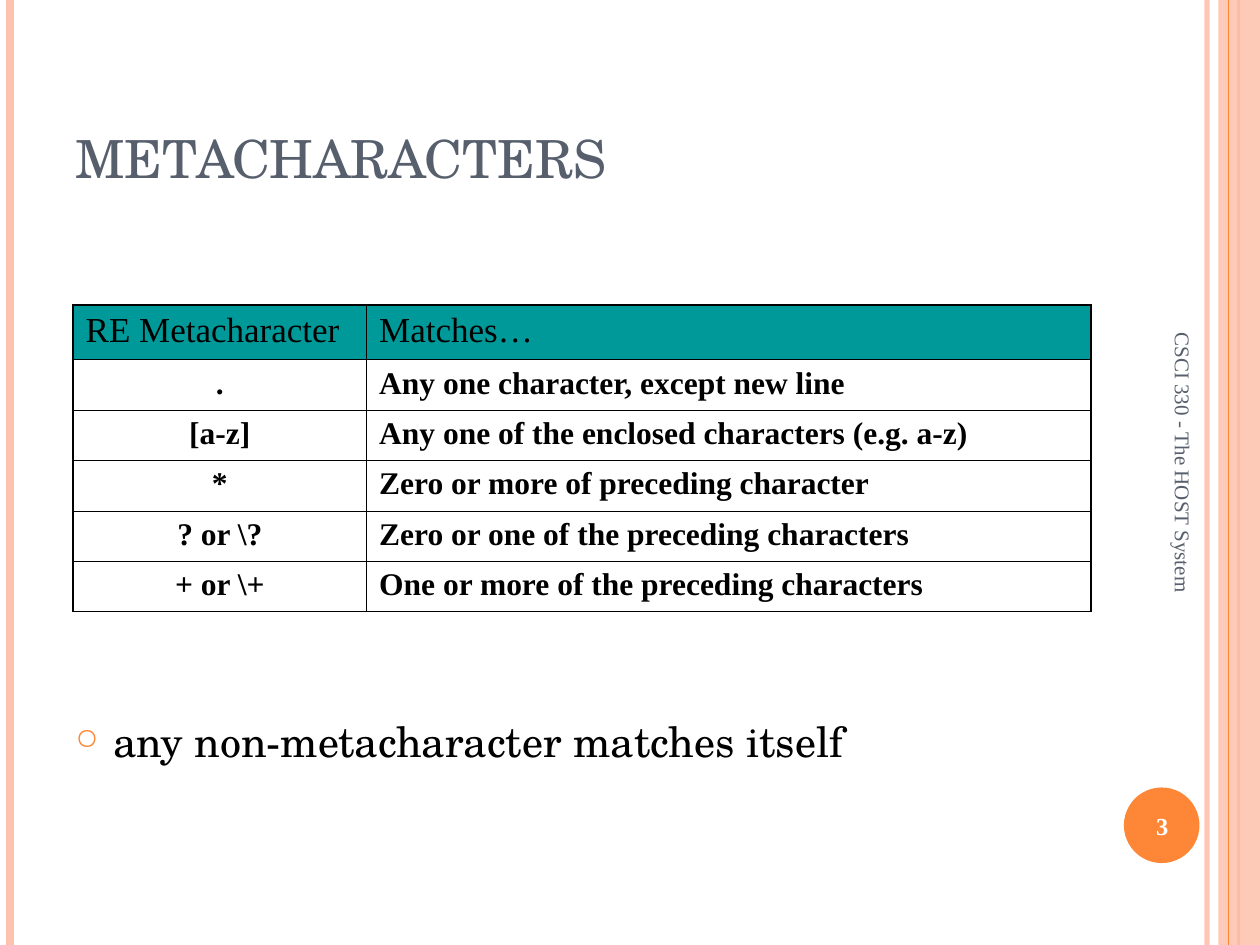
from pptx import Presentation
from pptx.util import Inches, Pt
from pptx.dml.color import RGBColor as RGB
from pptx.enum.shapes import MSO_SHAPE as Shape, MSO_CONNECTOR as Link
from pptx.enum.text import PP_ALIGN as Align, MSO_ANCHOR as Anchor
from pptx.oxml.ns import qn
from lxml.etree import SubElement as Sub

# Content
TITLE = "METACHARACTERS"
HEAD = ("RE Metacharacter", "Matches…")
ROWS = [
    (".", "Any one character, except new line"),
    ("[a-z]", "Any one of the enclosed characters (e.g. a-z)"),
    ("*", "Zero or more of preceding character"),
    ("? or \\?", "Zero or one of the preceding characters"),
    ("+ or \\+", "One or more of the preceding characters"),
]
NOTE = "any non-metacharacter matches itself"
FOOT = "CSCI 330 - The HOST System"
PAGE = "3"


class Theme:
    serif, times = "TeX Gyre Schola", "Times New Roman"
    ink, slate, white = "000000", "575F6D", "FFFFFF"
    peach, orange, teal = "FEC3AE", "FE8637", "009999"
    title, note, head, body, page, foot = 30, 24, 20, 18, 14, 12
    thin, thick = 0.45, 1.08


WIDE, HIGH = 10, 7.5
COLS = (2.33, 5.75)
TALL = [0.43] + [0.4] * len(ROWS)

# Stripes: x, colour, width in points, opacity in percent
BACK = [(9.58, Theme.peach, 3, 93), (0.08, Theme.peach, 4.5, 100),
        (9.83, Theme.orange, 1.5, 100)]
FRONT = [(9.75, Theme.orange, 0.75, 100)]


def fade(node, pct):
    tint = next(node.iter(qn("a:srgbClr")))
    Sub(tint, qn("a:alpha"), val=str(pct * 1000))


def stripe(slide, x, color, width, pct):
    bar = slide.shapes.add_connector(
        Link.STRAIGHT, Inches(x), 0, Inches(x), Inches(HIGH))
    bar.line.color.rgb = RGB.from_string(color)
    bar.line.width = Pt(width)
    props = bar._element.spPr
    if pct < 100:
        fade(props, pct)
    Sub(props, qn("a:effectLst"))


def solid(slide, kind, box, color):
    part = slide.shapes.add_shape(kind, *map(Inches, box))
    part.shadow.inherit = False
    part.fill.solid()
    part.fill.fore_color.rgb = RGB.from_string(color)
    part.line.fill.background()
    return part


def write(frame, text, size, font=Theme.times, color=Theme.ink, bold=False,
          align=Align.LEFT, before=0):
    para = frame.paragraphs[0]
    para.alignment = align
    para.space_before = Pt(before)
    run = para.add_run()
    run.text = text
    run.font.size, run.font.name, run.font.bold = Pt(size), font, bold
    run.font.color.rgb = RGB.from_string(color)
    return para


def frame(slide, box, anchor, turn=0):
    part = slide.shapes.add_textbox(*map(Inches, box))
    part.rotation = turn
    part.text_frame.word_wrap = True
    part.text_frame.vertical_anchor = anchor
    return part.text_frame


def bullet(para, mark, color, pct, inset):
    props = para._p.get_or_add_pPr()
    props.set("marL", str(Inches(inset)))
    props.set("indent", str(-Inches(inset)))
    Sub(Sub(props, qn("a:buClr")), qn("a:srgbClr"), val=color)
    Sub(props, qn("a:buSzPct"), val=str(pct * 1000))
    Sub(props, qn("a:buChar"), char=mark)


def border(cell, edges):
    props = cell._tc.get_or_add_tcPr()
    for side, width in edges.items():
        line = Sub(props, qn("a:ln" + side), w=str(Pt(width)))
        Sub(Sub(line, qn("a:solidFill")), qn("a:srgbClr"), val=Theme.ink)


def grid(slide, x, y):
    data = [HEAD] + ROWS
    table = slide.shapes.add_table(
        len(data), len(COLS), Inches(x), Inches(y),
        Inches(sum(COLS)), Inches(sum(TALL))).table
    table.first_row = table.horz_banding = False
    for col, width in zip(table.columns, COLS):
        col.width = Inches(width)
    for r, texts in enumerate(data):
        table.rows[r].height = Inches(TALL[r])
        for c, text in enumerate(texts):
            cell = table.cell(r, c)
            outer = {"L": c == 0, "R": c == len(COLS) - 1,
                     "T": r == 0, "B": False}
            border(cell, {side: Theme.thick if out else Theme.thin
                          for side, out in outer.items()})
            if r == 0:
                cell.fill.solid()
                cell.fill.fore_color.rgb = RGB.from_string(Theme.teal)
                write(cell.text_frame, text, Theme.head, before=5)
            else:
                cell.fill.background()
                write(cell.text_frame, text, Theme.body, bold=True, before=4.5,
                      align=Align.LEFT if c else Align.CENTER)


def main():
    deck = Presentation()
    deck.slide_width, deck.slide_height = Inches(WIDE), Inches(HIGH)
    slide = deck.slides.add_slide(deck.slide_layouts[6])

    # Side stripes and page disc
    for item in BACK:
        stripe(slide, *item)
    band = solid(slide, Shape.RECTANGLE, (9.67, 0, 0.33, HIGH), Theme.peach)
    fade(band._element.spPr, 87)
    for item in FRONT:
        stripe(slide, *item)
    solid(slide, Shape.OVAL, (8.92, 6.25, 0.6, 0.6), Theme.orange)

    # Title
    write(frame(slide, (0.5, 0.3, 8.17, 1.25), Anchor.BOTTOM), TITLE,
          Theme.title, font=Theme.serif, color=Theme.slate)

    # Note below the table
    body = frame(slide, (0.5, 1.75, 8.17, 5.33), Anchor.BOTTOM)
    body.margin_bottom = Inches(1)
    para = write(body, NOTE, Theme.note, font=Theme.serif)
    bullet(para, "○", Theme.orange, 70, 0.3)

    # Page number and footer
    write(frame(slide, (8.89, 6.27, 0.67, 0.57), Anchor.MIDDLE), PAGE,
          Theme.page, color=Theme.white, bold=True, align=Align.CENTER)
    write(frame(slide, (7.64, 4.09, 3.5, 0.4), Anchor.MIDDLE, turn=90), FOOT,
          Theme.foot, color=Theme.slate)

    # Table
    grid(slide, 0.58, 2.42)
    deck.save("out.pptx")


if __name__ == "__main__":
    main()
